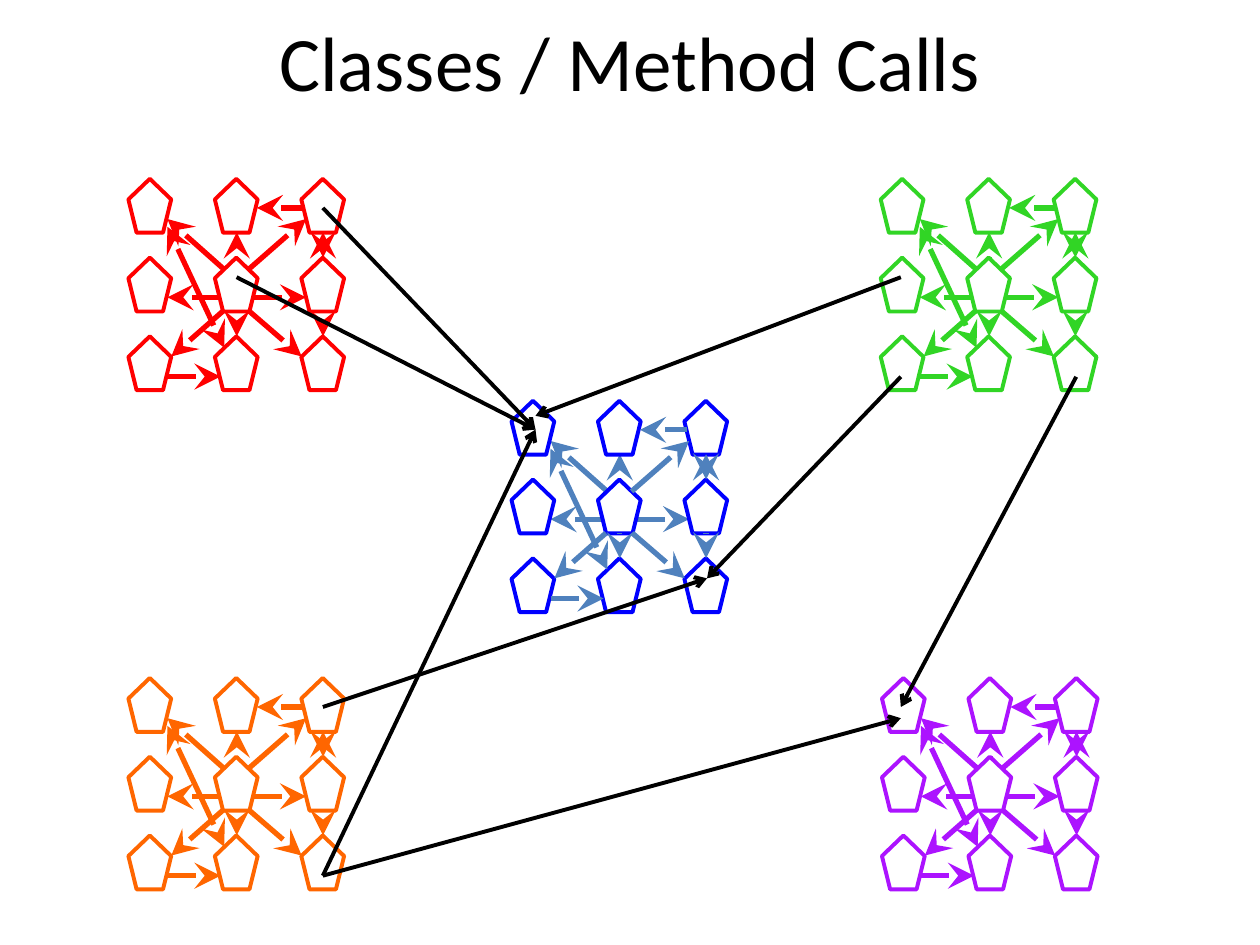
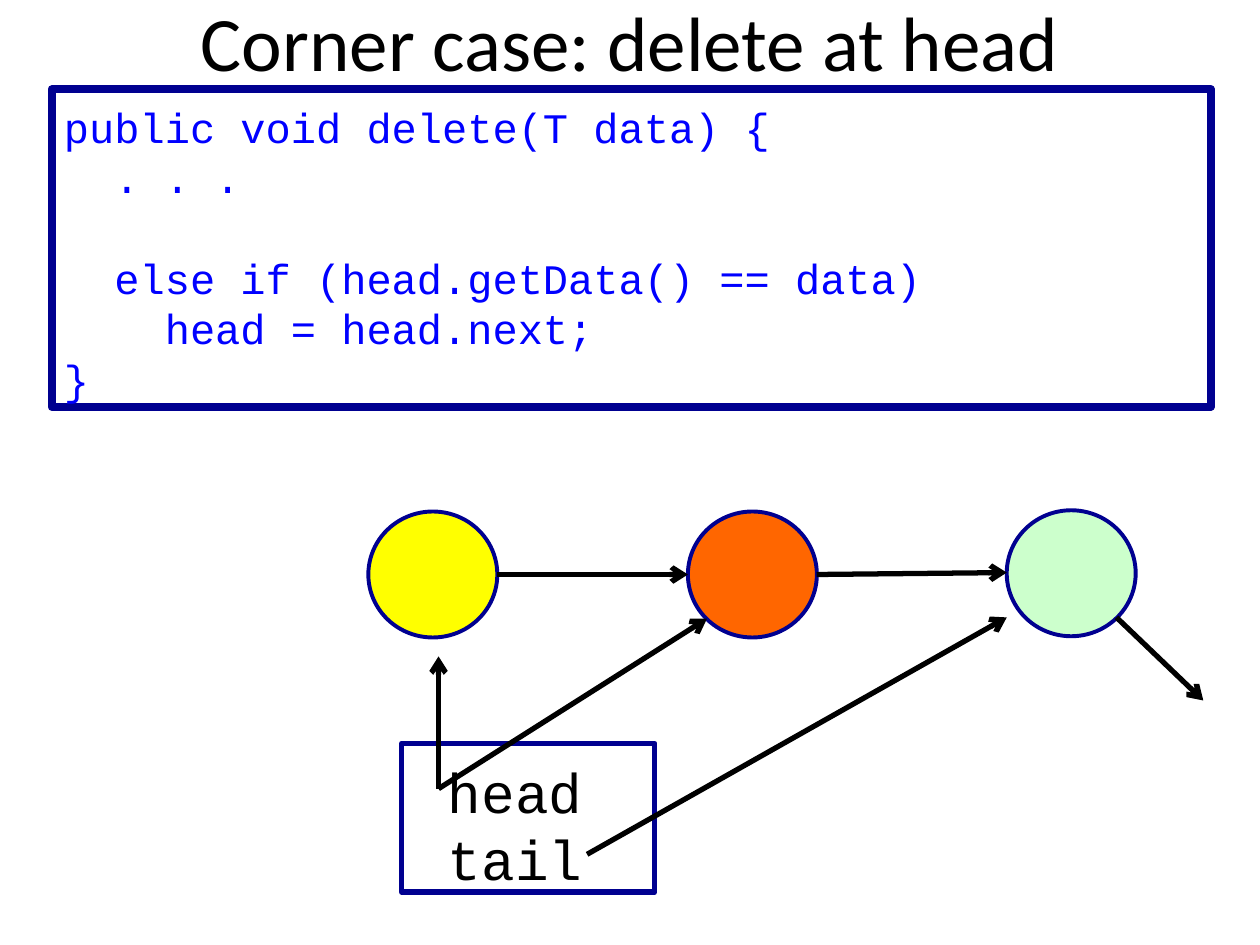
from dataclasses import dataclass
from itertools import product

from lxml import etree
from pptx import Presentation
from pptx.dml.color import RGBColor
from pptx.enum import shapes, text
from pptx.oxml import ns
from pptx.util import Pt


@dataclass(frozen=True)
class Theme:
    black: str = "000000"
    white: str = "FFFFFF"
    navy: str = "000090"
    blue: str = "0000FF"
    steel: str = "4F81BD"
    red: str = "FF0000"
    green: str = "31D525"
    purple: str = "AC13FF"
    orange: str = "FF6600"
    yellow: str = "FFFF00"
    mint: str = "CCFFCC"
    title_font: str = "Calibri"
    code_font: str = "Courier New"
    title_size: int = 44
    code_size: int = 24
    label_size: int = 32
    code_leading: float = 1.2


THEME = Theme()

PENTAGON_SIZE = (24.5, 30.8)
PENTAGON_PITCH = (49.4, 45)
COLUMNS = (12.2, 61.9, 111.2)

CALLS_BEHIND = [
    ((54, 67.7), (22.3, 67.7)),
    ((66.2, 67.7), (101.5, 67.7)),
    ((54.7, 51.8), (22.3, 23)),
    ((COLUMNS[1], 45), (COLUMNS[1], 30.6)),
]
CALLS_IN_FRONT = [
    ((68.6, 51.8), (101.5, 23)),
    ((54, 75.6), (24.5, 101.5)),
    ((69, 75.6), (99, 101.5)),
    ((COLUMNS[1], 75.6), (COLUMNS[1], 90)),
    ((100, 16.6), (73.4, 16.6)),
    ((COLUMNS[2], 75.6), (COLUMNS[2], 90)),
    ((22.3, 113), (52.6, 113)),
]
MUTUAL_CALLS = [
    ((COLUMNS[2], 30.6), (COLUMNS[2], 45)),
    ((54.7, 96.5), (22.3, 27.4)),
]


def color(value):
    return RGBColor.from_string(value)


def add_arrow(owner, start, end, line_color, width, head="arrow", size="med", both=False):
    arrow = owner.add_connector(
        shapes.MSO_CONNECTOR.STRAIGHT, *(Pt(value) for value in (*start, *end))
    )
    arrow.line.color.rgb = color(line_color)
    arrow.line.width = Pt(width)
    line = arrow.line._get_or_add_ln()
    for tag in ("a:headEnd", "a:tailEnd") if both else ("a:tailEnd",):
        etree.SubElement(line, ns.qn(tag), type=head, w=size, len=size)
    etree.SubElement(line.getparent(), ns.qn("a:effectLst"))


def add_outline(owner, kind, area, line_color, width, fill=None):
    shape = owner.add_shape(kind, *(Pt(value) for value in area))
    shape.shadow.inherit = False
    shape.line.color.rgb = color(line_color)
    shape.line.width = Pt(width)
    if fill:
        shape.fill.solid()
        shape.fill.fore_color.rgb = color(fill)
    else:
        shape.fill.background()
    return shape


def style_paragraph(para, font, size, font_color, align):
    para.alignment = align
    for span in para.runs:
        span.font.name = font
        span.font.size = Pt(size)
        span.font.color.rgb = color(font_color)


def add_title(page, wording, top, height):
    box = page.shapes.add_textbox(Pt(36), Pt(top), Pt(648), Pt(height))
    frame = box.text_frame
    frame.word_wrap = True
    frame.vertical_anchor = text.MSO_ANCHOR.MIDDLE
    frame.text = wording
    style_paragraph(frame.paragraphs[0], THEME.title_font, THEME.title_size,
                    THEME.black, text.PP_ALIGN.CENTER)


def add_mono_box(page, lines, area, width, size, font_color, left_inset, top_inset):
    box = add_outline(page.shapes, shapes.MSO_SHAPE.RECTANGLE, area, THEME.navy, width)
    frame = box.text_frame
    frame.word_wrap = True
    frame.vertical_anchor = text.MSO_ANCHOR.TOP
    frame.margin_left = Pt(left_inset)
    frame.margin_top = Pt(top_inset)
    frame.margin_bottom = 0
    frame.text = "\n".join(lines)
    for para in frame.paragraphs:
        style_paragraph(para, THEME.code_font, size, font_color, text.PP_ALIGN.LEFT)
        para.line_spacing = Pt(size * THEME.code_leading)
    return frame


def add_object_cluster(page, left, top, outline, call_color):
    cluster = page.shapes.add_group_shape().shapes

    def add_calls(calls, both=False):
        for start, end in calls:
            add_arrow(cluster, (left + start[0], top + start[1]),
                      (left + end[0], top + end[1]),
                      call_color, 3, "stealth", "lg", both)

    add_calls(CALLS_BEHIND)
    for column, row in product(range(3), repeat=2):
        area = (left + column * PENTAGON_PITCH[0], top + row * PENTAGON_PITCH[1],
                *PENTAGON_SIZE)
        fill = THEME.white if column == row == 1 else None
        add_outline(cluster, shapes.MSO_SHAPE.REGULAR_PENTAGON, area, outline, 2.25, fill)
    add_calls(CALLS_IN_FRONT)
    add_calls(MUTUAL_CALLS, both=True)


def build_method_calls(page):
    add_title(page, "Classes / Method Calls", 0, 69.8)
    for left, top, outline, call_color in [
        (292.3, 229, THEME.blue, THEME.steel),
        (73.4, 102.2, THEME.red, THEME.red),
        (503.3, 102.2, THEME.green, THEME.green),
        (504, 387.4, THEME.purple, THEME.purple),
        (73.4, 387.4, THEME.orange, THEME.orange),
    ]:
        add_object_cluster(page, left, top, outline, call_color)

    blue_first, blue_last = (306, 245.5), (404, 330.5)
    orange_last = (184.5, 500.4)
    for caller, callee in [
        ((184.5, 118.8), blue_first),
        ((135.2, 158.4), blue_first),
        ((514.8, 158.4), (306, 237.6)),
        ((615, 215.3), (514.8, 404)),
        (orange_last, (514.8, 410.4)),
        (orange_last, blue_first),
        ((514.8, 215.3), blue_last),
        ((184.5, 404), blue_last),
    ]:
        add_arrow(page.shapes, caller, callee, THEME.black, 2.25)


def build_delete_at_head(page):
    code = [
        "public void delete(T data) {",
        "  . . .",
        "  else if (head.getData() == data)",
        "    head = head.next;",
        "}",
    ]
    frame = add_mono_box(page, code, (29.5, 51.1, 662.4, 181.4), 4.5,
                         THEME.code_size, THEME.blue, 7.2, 6.7)
    frame.paragraphs[2].space_before = Pt(THEME.code_size * THEME.code_leading)
    add_title(page, "Corner case: delete at head", -21.6, 90)

    for left, top, fill in [
        (210.5, 292.3, THEME.yellow),
        (393.1, 292.3, THEME.orange),
        (575.3, 291.6, THEME.mint),
    ]:
        add_outline(page.shapes, shapes.MSO_SHAPE.OVAL, (left, top, 73.7, 72),
                    THEME.navy, 2.25, fill)

    add_mono_box(page, ["head", "tail"], (229.5, 424.8, 144.7, 85), 3,
                 THEME.label_size, THEME.black, 26.4, 8.1)

    head_reference = (250.6, 450.7)
    for start, end in [
        ((284.2, 328.3), (393.1, 328.3)),
        ((466.6, 328.3), (575.3, 327.2)),
        ((638, 352.8), (687.6, 400.3)),
        (head_reference, (250.6, 375.1)),
        (head_reference, (404, 353.5)),
        ((335.5, 488.2), (575.3, 352.8)),
    ]:
        add_arrow(page.shapes, start, end, THEME.black, 3)


def main():
    deck = Presentation()
    deck.slide_width, deck.slide_height = Pt(720), Pt(540)
    for build in (build_method_calls, build_delete_at_head):
        build(deck.slides.add_slide(deck.slide_layouts[6]))
    deck.save("out.pptx")


if __name__ == "__main__":
    main()
